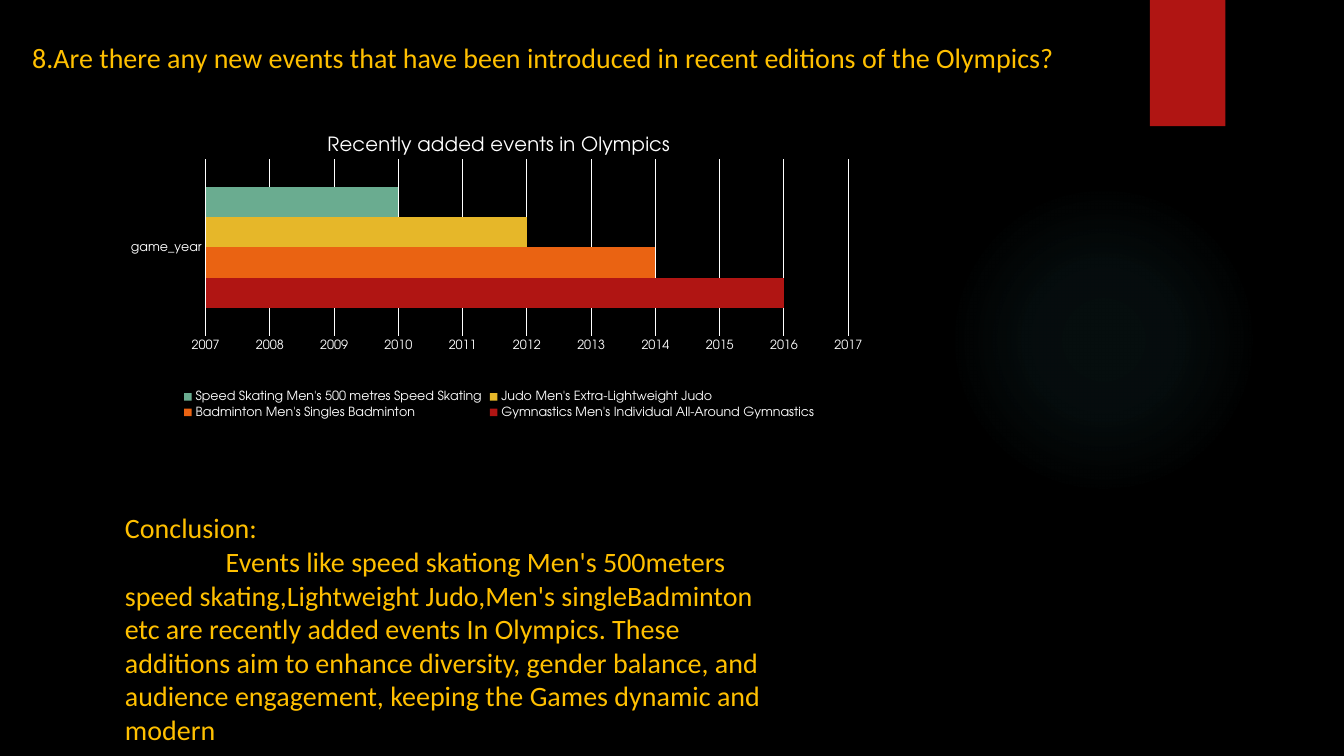
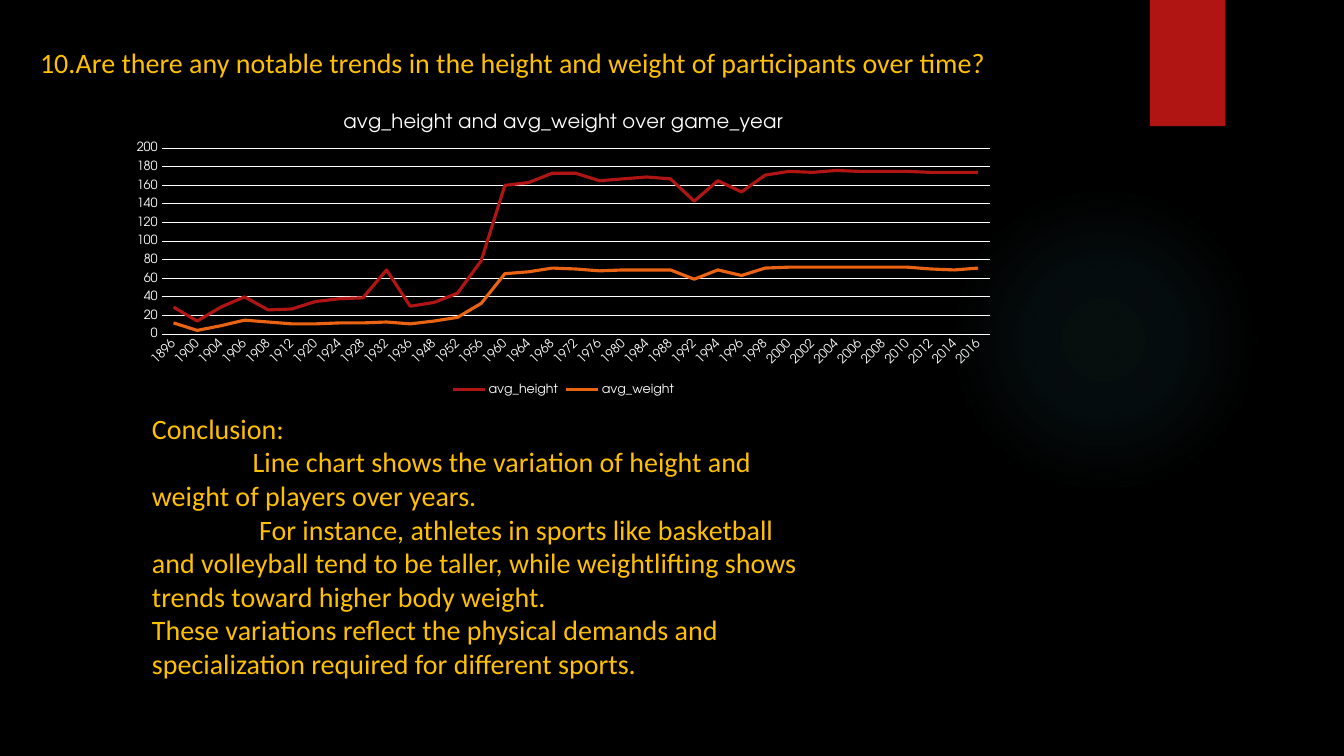
from lxml import etree
from pptx import Presentation
from pptx.chart.data import CategoryChartData
from pptx.dml.color import RGBColor
from pptx.enum.chart import XL_CHART_TYPE as CT, XL_LEGEND_POSITION as LP, XL_TICK_MARK as TM
from pptx.enum.shapes import MSO_SHAPE as SH
from pptx.oxml import parse_xml
from pptx.oxml.ns import qn
from pptx.util import Cm, Pt

COLORS = {"back": "000000", "text": "FFC000", "chart": "FFFFFF", "glow": "50B9C1",
          "red": "B01513", "orange": "EA6312", "yellow": "E6B729", "green": "6AAC90"}
RGB = {name: RGBColor.from_string(value) for name, value in COLORS.items()}
TEXT_FONT, CHART_FONT = "Calibri", "TeX Gyre Adventor"
GLOW_STOPS = [(0, 7), (36, 6), (69, 0)]  # position and opacity, in percent
DRAWING_NS = "http://schemas.openxmlformats.org/drawingml/2006/main"

# Each paragraph is its first-line indent in cm and its text
# Each plot area is x, y, width, height as shares of the chart
SLIDES = [
    {
        "title": "8.Are there any new events that have been introduced in recent editions of the Olympics?",
        "title_at": (0.56, 0.89, 28.19, 1.12),
        "type": CT.BAR_CLUSTERED,
        "chart_title": "Recently added events in Olympics",
        "chart_at": (2.9, 3.02, 19.35, 7.62),
        "plot": (0.118, 0.13, 0.837, 0.585),
        "scale": (2007, 2017, 1),
        "cats": ["game_year"],
        "series": [
            ("Gymnastics Men's Individual All-Around Gymnastics", "red", [2016]),
            ("Badminton Men's Singles Badminton", "orange", [2014]),
            ("Judo Men's Extra-Lightweight Judo", "yellow", [2012]),
            ("Speed Skating Men's 500 metres Speed Skating", "green", [2010]),
        ],
        "text_at": (2.9, 12.75, 16.94, 6.25),
        "text": [
            (0, "Conclusion:"),
            (2.54, "Events like speed skationg Men's 500meters speed skating,Lightweight Judo,"
                   "Men's singleBadminton etc are recently added events In Olympics. These additions "
                   "aim to enhance diversity, gender balance, and audience engagement, keeping the "
                   "Games dynamic and modern"),
        ],
    },
    {
        "title": "10.Are there any notable trends in the height and weight of participants over time?",
        "title_at": (0.76, 1.02, 27.41, 1.12),
        "type": CT.LINE,
        "chart_title": "avg_height and avg_weight over game_year",
        "chart_at": (3, 2.44, 22.4, 7.62),
        "plot": (0.048, 0.17, 0.932, 0.615),
        "scale": (0, 200, 20),
        "cats": ["1896", "1900", "1904", "1906", "1908", "1912", "1920", "1924", "1928",
                 "1932", "1936", "1948", "1952", "1956", "1960", "1964", "1968", "1972",
                 "1976", "1980", "1984", "1988", "1992", "1994", "1996", "1998", "2000",
                 "2002", "2004", "2006", "2008", "2010", "2012", "2014", "2016"],
        "series": [
            ("avg_height", "red",
             [29, 14, 29, 40, 26, 27, 35, 38, 39, 69, 30, 34, 44, 79, 160, 163, 173, 173,
              165, 167, 169, 167, 143, 165, 153, 171, 175, 174, 176, 175, 175, 175, 174,
              174, 174]),
            ("avg_weight", "orange",
             [12, 4, 9, 15, 13, 11, 11, 12, 12, 13, 11, 14, 18, 33, 65, 67, 71, 70, 68, 69,
              69, 69, 59, 69, 63, 71, 72, 72, 72, 72, 72, 72, 70, 69, 71]),
        ],
        "text_at": (3.58, 10.24, 16.94, 8.81),
        "text": [
            (0, "Conclusion:"),
            (2.54, "Line chart shows the variation of height and weight of players over years."),
            (2.7, "For instance, athletes in sports like basketball and volleyball tend to be "
                  "taller, while weightlifting shows trends toward higher body weight."),
            (0, "These variations reflect the physical demands and specialization required "
                "for different sports."),
        ],
    },
]


def add_text(s, at, paragraphs):
    tf = s.shapes.add_textbox(*map(Cm, at)).text_frame
    tf.word_wrap = True
    for i, (indent, text) in enumerate(paragraphs):
        p = tf.paragraphs[0] if i == 0 else tf.add_paragraph()
        p.text = text
        if indent:
            p._p.get_or_add_pPr().set("indent", str(Cm(indent)))
        p.font.name, p.font.size = TEXT_FONT, Pt(20)
        p.font.color.rgb = RGB["text"]


def set_font(font, size):
    font.name, font.size, font.bold = CHART_FONT, Pt(size), False
    font.color.rgb = RGB["chart"]


prs = Presentation()
prs.slide_width, prs.slide_height = Cm(33.87), Cm(19.05)

for page in SLIDES:
    s = prs.slides.add_slide(prs.slide_layouts[6])
    s.background.fill.solid()
    s.background.fill.fore_color.rgb = RGB["back"]

    # Soft glow and red tab
    glow = s.shapes.add_shape(SH.OVAL, Cm(23.9), Cm(4.65), Cm(7.82), Cm(7.82))
    tab = s.shapes.add_shape(SH.RECTANGLE, Cm(28.98), 0, Cm(1.9), Cm(3.18))
    for sp in (glow, tab):
        sp.shadow.inherit = False
        sp.line.fill.background()
    tab.fill.solid()
    tab.fill.fore_color.rgb = RGB["red"]
    stops = "".join(
        f'<a:gs pos="{pos * 1000}"><a:srgbClr val="{COLORS["glow"]}">'
        f'<a:alpha val="{alpha * 1000}"/></a:srgbClr></a:gs>' for pos, alpha in GLOW_STOPS)
    gradient = parse_xml(
        f'<a:gradFill xmlns:a="{DRAWING_NS}"><a:gsLst>{stops}</a:gsLst><a:path path="circle">'
        '<a:fillToRect l="50000" t="50000" r="50000" b="50000"/></a:path></a:gradFill>')
    glow._element.spPr.find(qn("a:prstGeom")).addnext(gradient)

    # Question
    add_text(s, page["title_at"], [(0, page["title"])])

    # Chart
    data = CategoryChartData()
    data.categories = page["cats"]
    for name, _, values in page["series"]:
        data.add_series(name, values)
    chart = s.shapes.add_chart(page["type"], *map(Cm, page["chart_at"]), data).chart
    set_font(chart.font, 10)
    chart.has_title = True
    p = chart.chart_title.text_frame.paragraphs[0]
    p.text = page["chart_title"]
    set_font(p.font, 14)
    chart.has_legend = True
    chart.legend.position = LP.BOTTOM
    chart.legend.include_in_layout = False
    set_font(chart.legend.font, 9)

    # Axes
    cat_axis, val_axis = chart.category_axis, chart.value_axis
    for axis in (cat_axis, val_axis):
        axis.major_tick_mark = axis.minor_tick_mark = TM.NONE
        set_font(axis.tick_labels.font, 9)
    val_axis.minimum_scale, val_axis.maximum_scale, val_axis.major_unit = page["scale"]
    val_axis.has_major_gridlines = True
    val_axis.format.line.fill.background()
    for line in (cat_axis.format.line, val_axis.major_gridlines.format.line):
        line.color.rgb = RGB["chart"]
        line.width = Pt(0.75)

    # Series
    plot = chart.plots[0]
    plot.vary_by_categories = False
    for series, (_, color, _) in zip(plot.series, page["series"]):
        if page["type"] == CT.LINE:
            series.smooth = False
            series.format.line.color.rgb = RGB[color]
            series.format.line.width = Pt(2.25)
        else:
            series.format.fill.solid()
            series.format.fill.fore_color.rgb = RGB[color]
    if page["type"] == CT.LINE:
        cat_axis._element.find(qn("c:txPr")).find(qn("a:bodyPr")).set("rot", "-2700000")
    else:
        plot.gap_width, plot.overlap = 182, 0

    # Fixed plot area
    area = chart._chartSpace.chart.plotArea
    for old in area.findall(qn("c:layout")):
        area.remove(old)
    layout = etree.Element(qn("c:layout"))
    area.insert(0, layout)
    manual = etree.SubElement(layout, qn("c:manualLayout"))
    settings = [("layoutTarget", "inner"), ("xMode", "edge"), ("yMode", "edge"),
                *zip("xywh", page["plot"])]
    for tag, value in settings:
        etree.SubElement(manual, qn(f"c:{tag}")).set("val", str(value))

    # Conclusion
    add_text(s, page["text_at"], page["text"])

prs.save("out.pptx")
